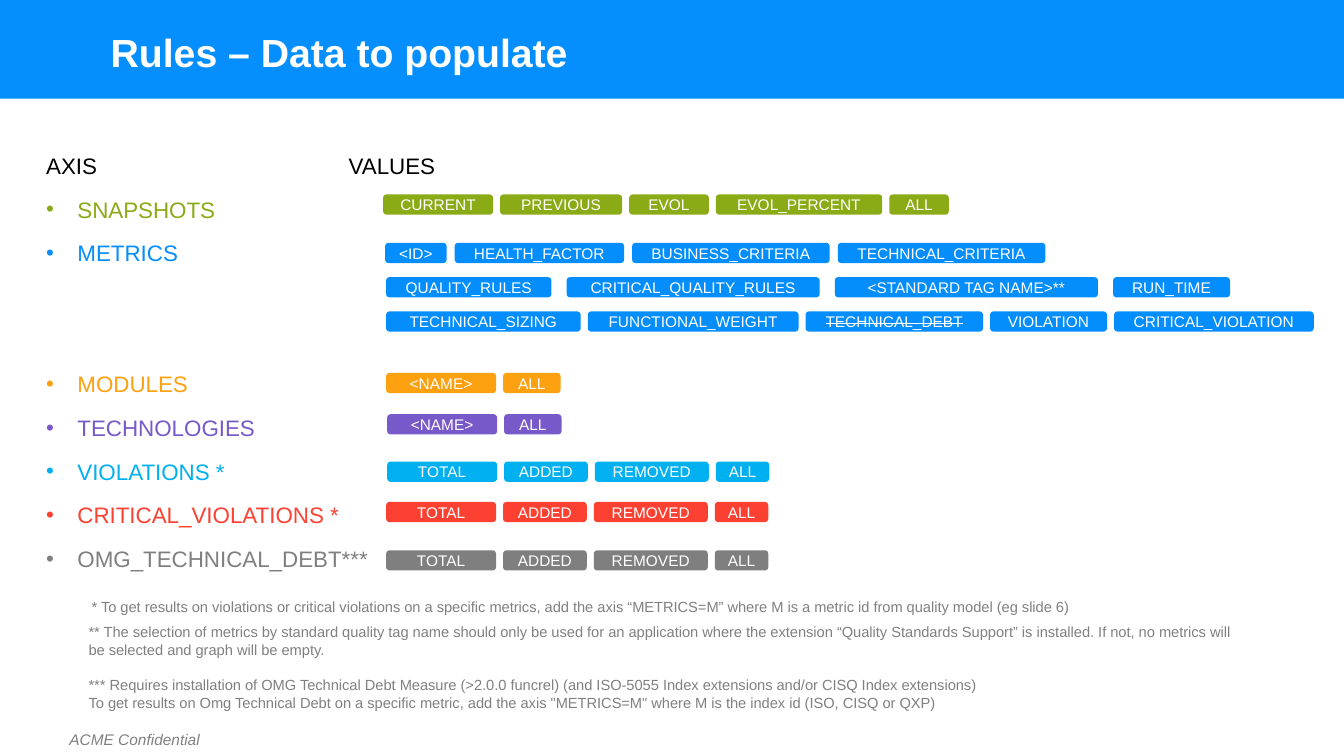
import pptx
import pptx.util
import pptx.dml.color
import pptx.enum.shapes
import pptx.enum.text
import pptx.oxml.ns
import lxml.etree

Inches = pptx.util.Inches
Pt = pptx.util.Pt
SHAPE = pptx.enum.shapes.MSO_SHAPE

BLUE, GREEN, METRIC = "058FFE", "8AAA16", "048EFD"
ORANGE, PURPLE, CYAN = "FDA110", "7859C9", "00B0F0"
RED, GRAY, NOTE = "FC4132", "7F7F7F", "808080"


def color(value):
    return pptx.dml.color.RGBColor.from_string(value)


def add_text(s, left, top, width, height, lines, size, hex_color):
    sp = s.shapes.add_textbox(Inches(left), Inches(top), Inches(width), Inches(height))
    tf = sp.text_frame
    tf.word_wrap = True
    tf.text = "\n".join(lines)
    for p in tf.paragraphs:
        for r in p.runs:
            r.font.name = "Arial"
            r.font.size = Pt(size)
            r.font.color.rgb = color(hex_color)
    return tf


prs = pptx.Presentation()
prs.slide_width = Inches(13.33)
prs.slide_height = Inches(7.5)
s = prs.slides.add_slide(prs.slide_layouts[6])

band = s.shapes.add_shape(SHAPE.RECTANGLE, 0, 0, prs.slide_width, Inches(0.98))
band.shadow.inherit = False
band.fill.solid()
band.fill.fore_color.rgb = color(BLUE)
band.line.fill.background()

tf = add_text(s, 0.59, 7.19, 2, 0.29, ["ACME Confidential"], 11, NOTE)
tf.paragraphs[0].runs[0].font.italic = True

tf = add_text(s, 1, 0.28, 11.5, 0.44, ["Rules – Data to populate"], 28, "FFFFFF")
tf.paragraphs[0].line_spacing = 0.9
tf.paragraphs[0].runs[0].font.bold = True

axes = [
    ("SNAPSHOTS", GREEN),
    ("METRICS", METRIC),
    ("MODULES", ORANGE),
    ("TECHNOLOGIES", PURPLE),
    ("VIOLATIONS *", CYAN),
    ("CRITICAL_VIOLATIONS *", RED),
    ("OMG_TECHNICAL_DEBT***", GRAY),
]
lines = ["AXIS\tVALUES"] + [name for name, _ in axes]
tf = add_text(s, 0.36, 1.46, 12.31, 4.44, lines, 16, "000000")
heading = tf.paragraphs[0]._p.get_or_add_pPr()
tabs = lxml.etree.SubElement(heading, pptx.oxml.ns.qn("a:tabLst"))
lxml.etree.SubElement(tabs, pptx.oxml.ns.qn("a:tab"), pos=str(Inches(3)), algn="l")
for p, (name, hex_color) in zip(tf.paragraphs[1:], axes):
    p.space_before = Pt(74.4 if name == "MODULES" else 12)
    p.runs[0].font.color.rgb = color(hex_color)
    pPr = p._p.get_or_add_pPr()
    pPr.set("marL", str(Inches(0.31)))
    pPr.set("indent", str(-Inches(0.31)))
    lxml.etree.SubElement(pPr, pptx.oxml.ns.qn("a:buFont"), typeface="Arial")
    lxml.etree.SubElement(pPr, pptx.oxml.ns.qn("a:buChar"), char="•")
    end = lxml.etree.SubElement(p._p, pptx.oxml.ns.qn("a:endParaRPr"))
    end.set("sz", "1600")

names = [("<NAME>", 1.09), ("ALL", 0.57)]
changes = [("TOTAL", 1.09), ("ADDED", 0.83), ("REMOVED", 1.13), ("ALL", 0.53)]
value_rows = [
    (GREEN, 3.8, 1.93, 0.07, [("CURRENT", 1.09), ("PREVIOUS", 1.21), ("EVOL", 0.79),
                              ("EVOL_PERCENT", 1.65), ("ALL", 0.59)]),
    (METRIC, 3.82, 2.41, 0.08, [("<ID>", 0.61), ("HEALTH_FACTOR", 1.68),
                                ("BUSINESS_CRITERIA", 1.96), ("TECHNICAL_CRITERIA", 2.06)]),
    (METRIC, 3.83, 2.75, 0.15, [("QUALITY_RULES", 1.64), ("CRITICAL_QUALITY_RULES", 2.51),
                                ("<STANDARD TAG NAME>**", 2.61), ("RUN_TIME", 1.16)]),
    (METRIC, 3.83, 3.09, 0.07, [("TECHNICAL_SIZING", 1.93), ("FUNCTIONAL_WEIGHT", 2.09),
                                ("TECHNICAL_DEBT", 1.76), ("VIOLATION", 1.16),
                                ("CRITICAL_VIOLATION", 1.98)]),
    (ORANGE, 3.83, 3.7, 0.07, names),
    (PURPLE, 3.84, 4.11, 0.07, names),
    (CYAN, 3.84, 4.58, 0.07, changes),
    (RED, 3.83, 4.98, 0.07, changes),
    (GRAY, 3.83, 5.46, 0.07, changes),
]
for hex_color, left, top, gap, values in value_rows:
    for label, width in values:
        sp = s.shapes.add_shape(SHAPE.ROUNDED_RECTANGLE, Inches(left), Inches(top),
                                Inches(width), Inches(0.2))
        sp.shadow.inherit = False
        sp.fill.solid()
        sp.fill.fore_color.rgb = color(hex_color)
        sp.line.fill.background()
        tf = sp.text_frame
        tf.margin_top = tf.margin_bottom = 0
        tf.word_wrap = False
        tf.vertical_anchor = pptx.enum.text.MSO_ANCHOR.MIDDLE
        tf.text = label
        p = tf.paragraphs[0]
        p.alignment = pptx.enum.text.PP_ALIGN.CENTER
        r = p.runs[0]
        r.font.name = "Arial"
        r.font.size = Pt(11)
        r.font.color.rgb = color("FFFFFF")
        if label == "TECHNICAL_DEBT":
            r._r.get_or_add_rPr().set("strike", "sngStrike")
        left += width + gap

footnotes = [
    (0.81, 5.88, 0.4, [
        "* To get results on violations or critical violations on a specific metrics, "
        "add the axis “METRICS=M” where M is a metric id from quality model (eg slide 6)"]),
    (0.78, 6.13, 0.49, [
        "** The selection of metrics by standard quality tag name should only be used for an "
        "application where the extension “Quality Standards Support” is installed. "
        "If not, no metrics will be selected and graph will be empty."]),
    (0.78, 6.66, 0.49, [
        "*** Requires installation of OMG Technical Debt Measure (>2.0.0 funcrel) "
        "(and ISO-5055 Index extensions and/or CISQ Index extensions)",
        "To get results on Omg Technical Debt on a specific metric, "
        "add the axis \"METRICS=M\" where M is the index id (ISO, CISQ or QXP)"]),
]
for left, top, height, lines in footnotes:
    add_text(s, left, top, 11.71, height, lines, 10.5, NOTE)

prs.save("out.pptx")
